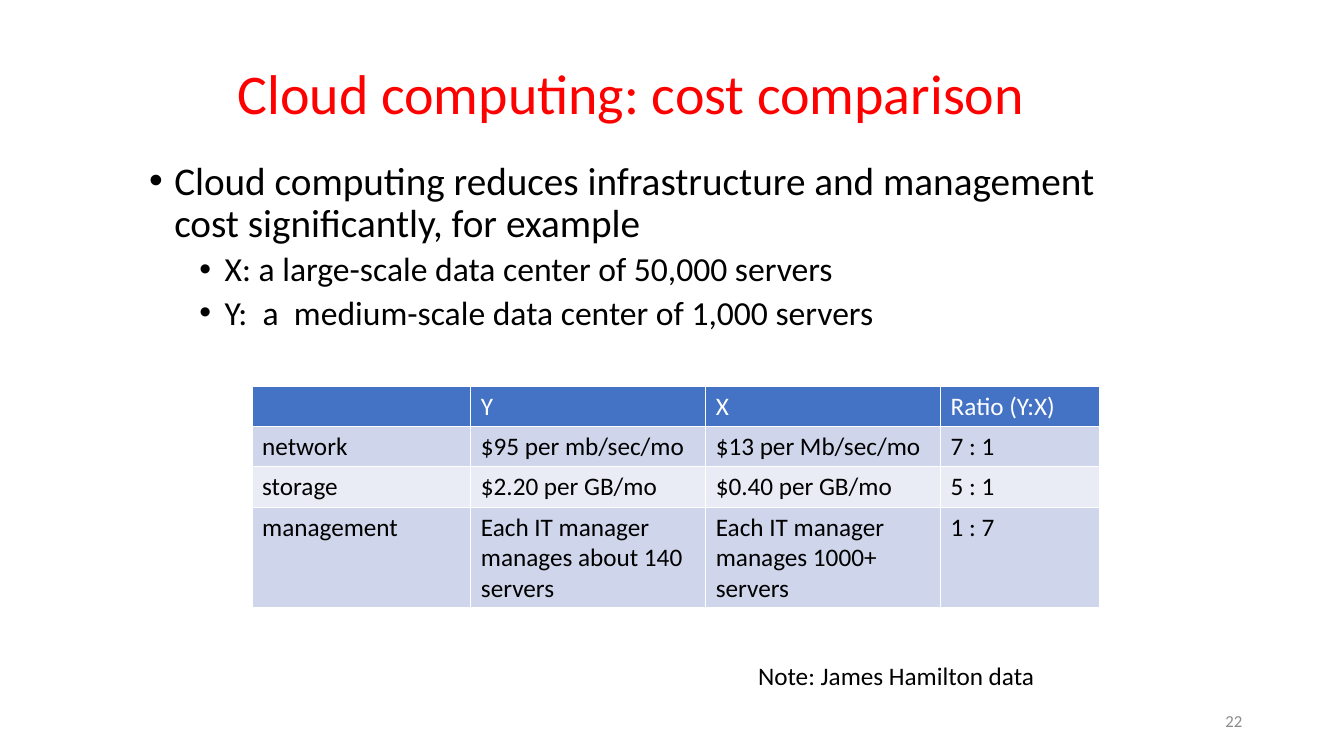
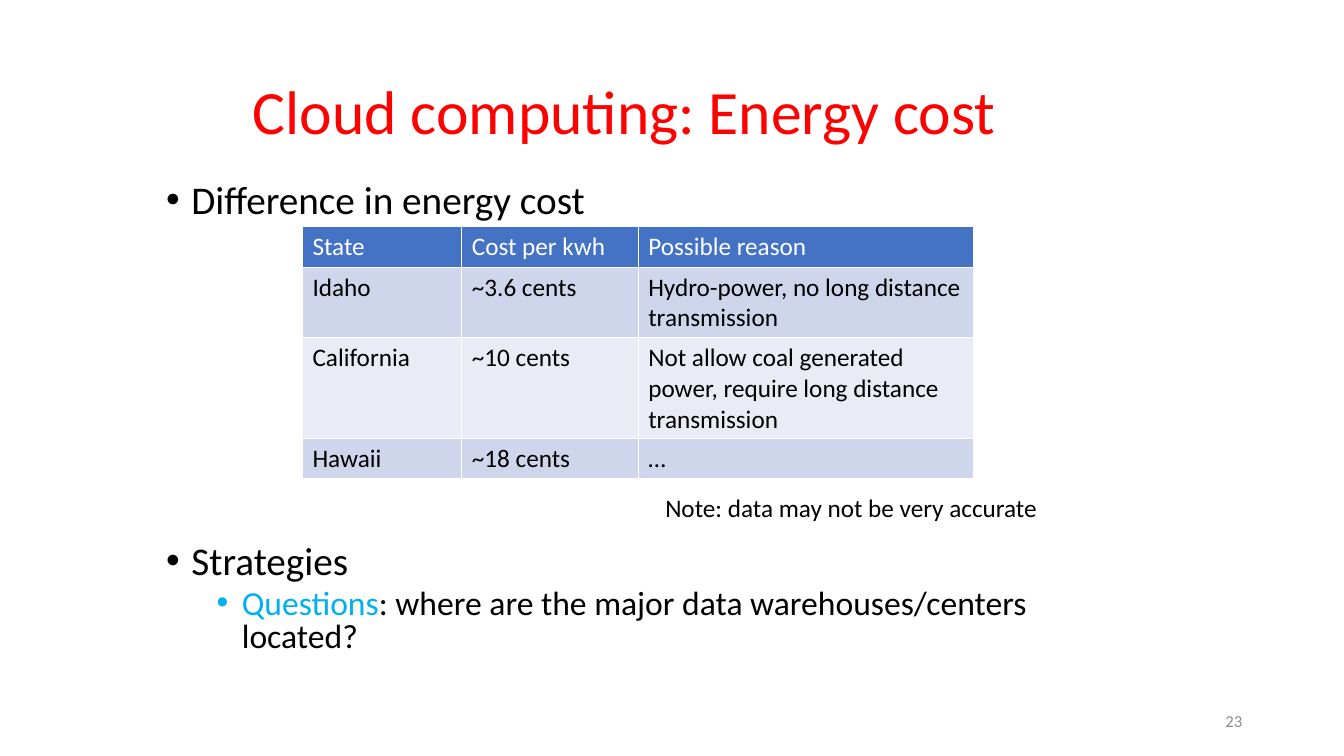
from lxml import etree
from pptx import Presentation
from pptx import util as u
from pptx.dml.color import RGBColor
from pptx.enum import text
from pptx.oxml.ns import qn

SCALE = 9144
FONT = "Calibri"
COLORS = {
    "title": "FF0000",
    "text": "000000",
    "accent": "00B0F0",
    "number": "8C8C8C",
    "white": "FFFFFF",
    "header": "4472C4",
    "odd": "CFD5EA",
    "even": "E9EBF5",
}


def px(n):
    return u.Emu(n * SCALE)


def rgb(name):
    return RGBColor.from_string(COLORS[name])


def write(p, content, size=18, color="text", align=None, line=None, before=None):
    if align is not None:
        p.alignment = align
    if line is not None:
        p.line_spacing = line
    if before is not None:
        p.space_before = u.Pt(before)
    r = p.add_run()
    r.text = content
    r.font.name = FONT
    r.font.size = u.Pt(size)
    r.font.bold = False
    r.font.color.rgb = rgb(color)
    return r


def add_box(s, box, anchor=text.MSO_ANCHOR.TOP):
    tf = s.shapes.add_textbox(*map(px, box)).text_frame
    tf.word_wrap = True
    tf.vertical_anchor = anchor
    return tf


def add_title(s, box, content, size):
    tf = add_box(s, box, text.MSO_ANCHOR.MIDDLE)
    write(tf.paragraphs[0], content, size, "title", line=0.9)


def add_note(s, box, content):
    write(add_box(s, box).paragraphs[0], content)


def add_number(s, number):
    tf = add_box(s, (942, 695, 300, 40), text.MSO_ANCHOR.MIDDLE)
    write(tf.paragraphs[0], str(number), 12, "number", text.PP_ALIGN.RIGHT)


def set_bullet(p, level):
    p.level = level
    pPr = p._p.get_or_add_pPr()
    pPr.set("marL", str(px(25 + 50 * level)))
    pPr.set("indent", str(px(-25)))
    etree.SubElement(pPr, qn("a:buFont")).set("typeface", "Arial")
    etree.SubElement(pPr, qn("a:buChar")).set("char", "•")


def add_bullets(s, box, items, line):
    tf = add_box(s, box)
    for i, (level, before, runs) in enumerate(items):
        p = tf.paragraphs[0] if i == 0 else tf.add_paragraph()
        for content, color in runs:
            write(p, content, 28 - 4 * level, color, line=line, before=before)
        set_bullet(p, level)


def set_borders(cell):
    tcPr = cell._tc.get_or_add_tcPr()
    for i, side in enumerate(("lnL", "lnR", "lnT", "lnB")):
        ln = etree.Element(qn("a:" + side), w=str(u.Pt(1)))
        fill = etree.SubElement(ln, qn("a:solidFill"))
        etree.SubElement(fill, qn("a:srgbClr")).set("val", COLORS["white"])
        tcPr.insert(i, ln)


def add_grid(s, left, top, widths, heights, rows):
    box = (left, top, sum(widths), sum(heights))
    table = s.shapes.add_table(len(rows), len(widths), *map(px, box)).table
    for col, width in zip(table.columns, widths):
        col.width = px(width)
    for i, (row, height, values) in enumerate(zip(table.rows, heights, rows)):
        row.height = px(height)
        fill = "header" if i == 0 else ("even", "odd")[i % 2]
        for cell, value in zip(row.cells, values):
            cell.fill.solid()
            cell.fill.fore_color.rgb = rgb(fill)
            set_borders(cell)
            write(cell.text_frame.paragraphs[0], value,
                  color="white" if i == 0 else "text")


def cost_comparison(s):
    add_title(s, (226, 52, 900, 87), "Cloud computing: cost comparison", 40)
    add_bullets(s, (138, 155, 978, 560), [
        (0, 10, [("Cloud computing reduces infrastructure and management cost "
                  "significantly, for example", "text")]),
        (1, 5, [("X: a large-scale data center of 50,000 servers", "text")]),
        (1, 5, [("Y:  a  medium-scale data center of 1,000 servers", "text")]),
    ], 0.9)
    add_grid(s, 250, 383, (217, 233, 233, 158), (40, 40, 40, 100), [
        ("", "Y", "X", "Ratio (Y:X)"),
        ("network", "$95 per mb/sec/mo", "$13 per Mb/sec/mo", "7 : 1"),
        ("storage", "$2.20 per GB/mo", "$0.40 per GB/mo", "5 : 1"),
        ("management", "Each IT manager manages about 140 servers",
         "Each IT manager manages 1000+ servers", "1 : 7"),
    ])
    add_note(s, (742, 650, 308, 35), "Note: James Hamilton data")


def energy_cost(s):
    add_title(s, (241, 70, 900, 87), "Cloud computing: Energy cost", 44)
    add_bullets(s, (155, 178, 962, 492), [
        (0, 10, [("Difference in energy cost", "text")]),
        (0, 231, [("Strategies", "text")]),
        (1, 5, [("Questions", "accent"),
                (": where are the major data warehouses/centers located?", "text")]),
    ], 0.8)
    add_grid(s, 300, 225, (158, 175, 333), (40, 70, 100, 40), [
        ("State", "Cost per kwh", "Possible reason"),
        ("Idaho", "~3.6 cents", "Hydro-power, no long distance transmission"),
        ("California", "~10 cents",
         "Not allow coal generated power, require long distance transmission"),
        ("Hawaii", "~18 cents", "…"),
    ])
    add_note(s, (650, 483, 400, 35), "Note: data may not be very accurate")


def main():
    prs = Presentation()
    prs.slide_width, prs.slide_height = px(1333), px(750)
    for number, build in enumerate((cost_comparison, energy_cost), 22):
        s = prs.slides.add_slide(prs.slide_layouts[6])
        build(s)
        add_number(s, number)
    prs.save("out.pptx")


if __name__ == "__main__":
    main()
